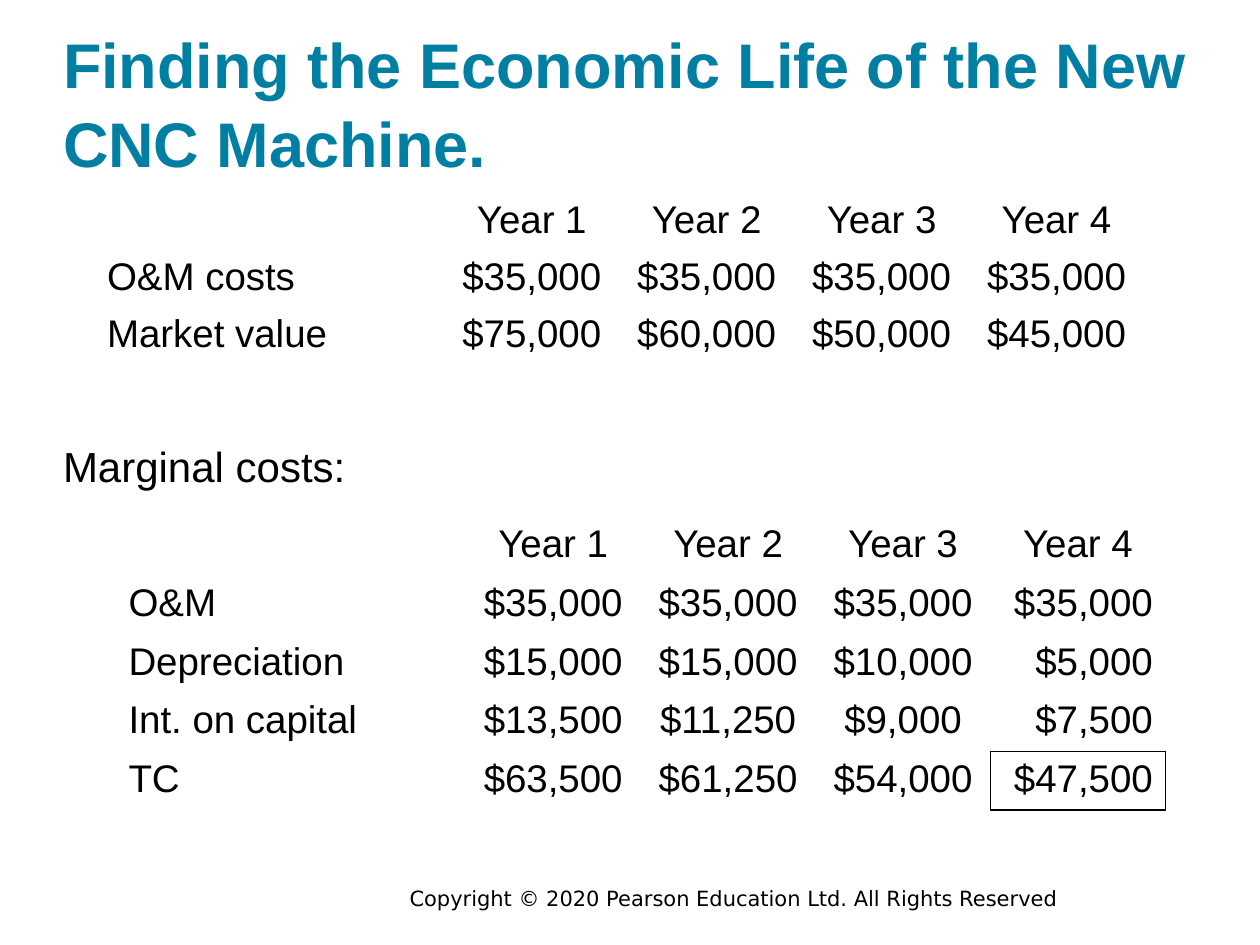
import pptx
import pptx.util
import pptx.dml.color
import pptx.enum.text
import pptx.oxml
import pptx.oxml.ns
from pptx.util import Inches

TEAL = pptx.dml.color.RGBColor(0x00, 0x7F, 0xA3)
BLACK = pptx.dml.color.RGBColor(0, 0, 0)
WHITE = pptx.dml.color.RGBColor(255, 255, 255)
LEFT = pptx.enum.text.PP_ALIGN.LEFT
CENTER = pptx.enum.text.PP_ALIGN.CENTER
RIGHT = pptx.enum.text.PP_ALIGN.RIGHT
TOP = pptx.enum.text.MSO_ANCHOR.TOP
BOTTOM = pptx.enum.text.MSO_ANCHOR.BOTTOM

YEARS = ["Year 1", "Year 2", "Year 3", "Year 4"]
COSTS = [
    ["O&M costs", "$35,000", "$35,000", "$35,000", "$35,000"],
    ["Market value", "$75,000", "$60,000", "$50,000", "$45,000"],
]
MARGINAL_COSTS = [
    ["O&M", "$35,000", "$35,000", "$35,000", "$35,000"],
    ["Depreciation", "$15,000", "$15,000", "$10,000", "$5,000"],
    ["Int. on capital", "$13,500", "$11,250", "$9,000", "$7,500"],
    ["TC", "$63,500", "$61,250", "$54,000", "$47,500"],
]


def set_text(tf, text, size, color=BLACK, bold=False, font="Arial", align=LEFT):
    tf.text = text
    p = tf.paragraphs[0]
    p.alignment = align
    for r in p.runs:
        r.font.name = font
        r.font.size = pptx.util.Pt(size)
        r.font.bold = bold
        r.font.color.rgb = color
    return p


def fit_box(sp, left, top, width, height, anchor):
    """Place a text shape and strip its insets and shrinking."""
    sp.left, sp.top = Inches(left), Inches(top)
    sp.width, sp.height = Inches(width), Inches(height)
    tf = sp.text_frame
    tf.margin_left = tf.margin_right = tf.margin_top = tf.margin_bottom = 0
    tf.word_wrap = True
    tf.auto_size = pptx.enum.text.MSO_AUTO_SIZE.NONE
    tf.vertical_anchor = anchor
    return tf


def add_borders(cell, sides):
    """Draw 1 pt black lines on the given sides, in schema order L, R, T, B."""
    tcPr = cell._tc.get_or_add_tcPr()
    for i, side in enumerate(sides):
        tcPr.insert(i, pptx.oxml.parse_xml(
            f'<a:ln{side} {pptx.oxml.ns.nsdecls("a")} w="12700"><a:solidFill>'
            f'<a:srgbClr val="{BLACK}"/></a:solidFill></a:ln{side}>'))


def add_year_table(s, left, top, row_height, rows, last_align):
    """Add a table with a label over two columns and one column per year."""
    n_rows, n_cols = len(rows) + 1, len(YEARS) + 2
    frame = s.shapes.add_table(n_rows, n_cols, Inches(left), Inches(top),
                               Inches(8.33), Inches(row_height * n_rows))
    table = frame.table
    table.first_row = table.horz_banding = False
    for row in table.rows:
        row.height = Inches(row_height)
        for cell in row.cells:
            cell.fill.solid()
            cell.fill.fore_color.rgb = WHITE
    for c, year in enumerate(YEARS, 2):
        set_text(table.cell(0, c).text_frame, year, 22, align=CENTER)
    for r, (label, *values) in enumerate(rows, 1):
        table.cell(r, 0).merge(table.cell(r, 1))
        set_text(table.cell(r, 0).text_frame, label, 22)
        for c, value in enumerate(values, 2):
            align = last_align if c == n_cols - 1 else CENTER
            set_text(table.cell(r, c).text_frame, value, 22, align=align)
    return table


def main():
    prs = pptx.Presentation()
    prs.slide_width, prs.slide_height = Inches(10), Inches(7.5)
    s = prs.slides.add_slide(prs.slide_layouts[1])

    # Title
    tf = fit_box(s.shapes.title, 0.5, 0.22, 9, 1.21, BOTTOM)
    p = set_text(tf, "Finding the Economic Life of the New CNC Machine.",
                 36, TEAL, bold=True)
    p.line_spacing = 1.04

    # Given costs and market values
    add_year_table(s, 0.75, 1.53, 0.45, COSTS, CENTER)

    # Heading of the second table
    tf = fit_box(s.placeholders[1], 0.5, 3.5, 8.92, 0.4, BOTTOM)
    p = set_text(tf, "Marginal costs:", 24)
    pPr = p._p.get_or_add_pPr()
    pPr.set("marL", "0")
    pPr.set("indent", "0")
    pPr.append(pptx.oxml.parse_xml(f'<a:buNone {pptx.oxml.ns.nsdecls("a")}/>'))
    p.space_before = 0

    # Marginal costs, with the lowest total boxed
    table = add_year_table(s, 0.92, 4.1, 2.33 / 5, MARGINAL_COSTS, RIGHT)
    add_borders(table.cell(4, 5), "LRTB")
    add_borders(table.cell(4, 4), "R")
    add_borders(table.cell(3, 5), "B")

    # Copyright line
    sp = s.shapes.add_textbox(0, 0, 0, 0)
    tf = fit_box(sp, 3.25, 7.03, 6.58, 0.2, TOP)
    set_text(tf, "Copyright © 2020 Pearson Education Ltd. All Rights Reserved",
             12, font="DejaVu Sans")

    prs.save("out.pptx")


if __name__ == "__main__":
    main()
